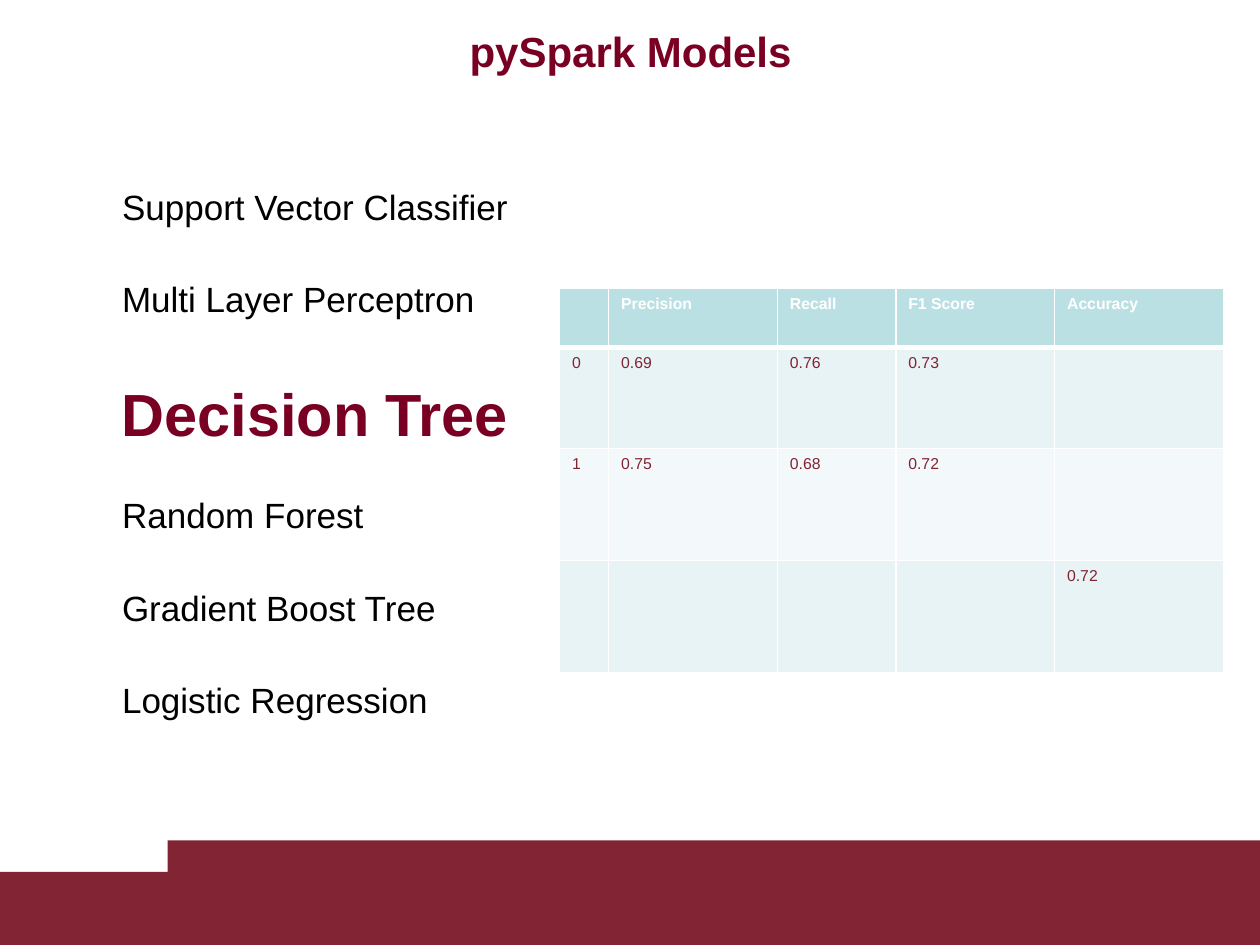
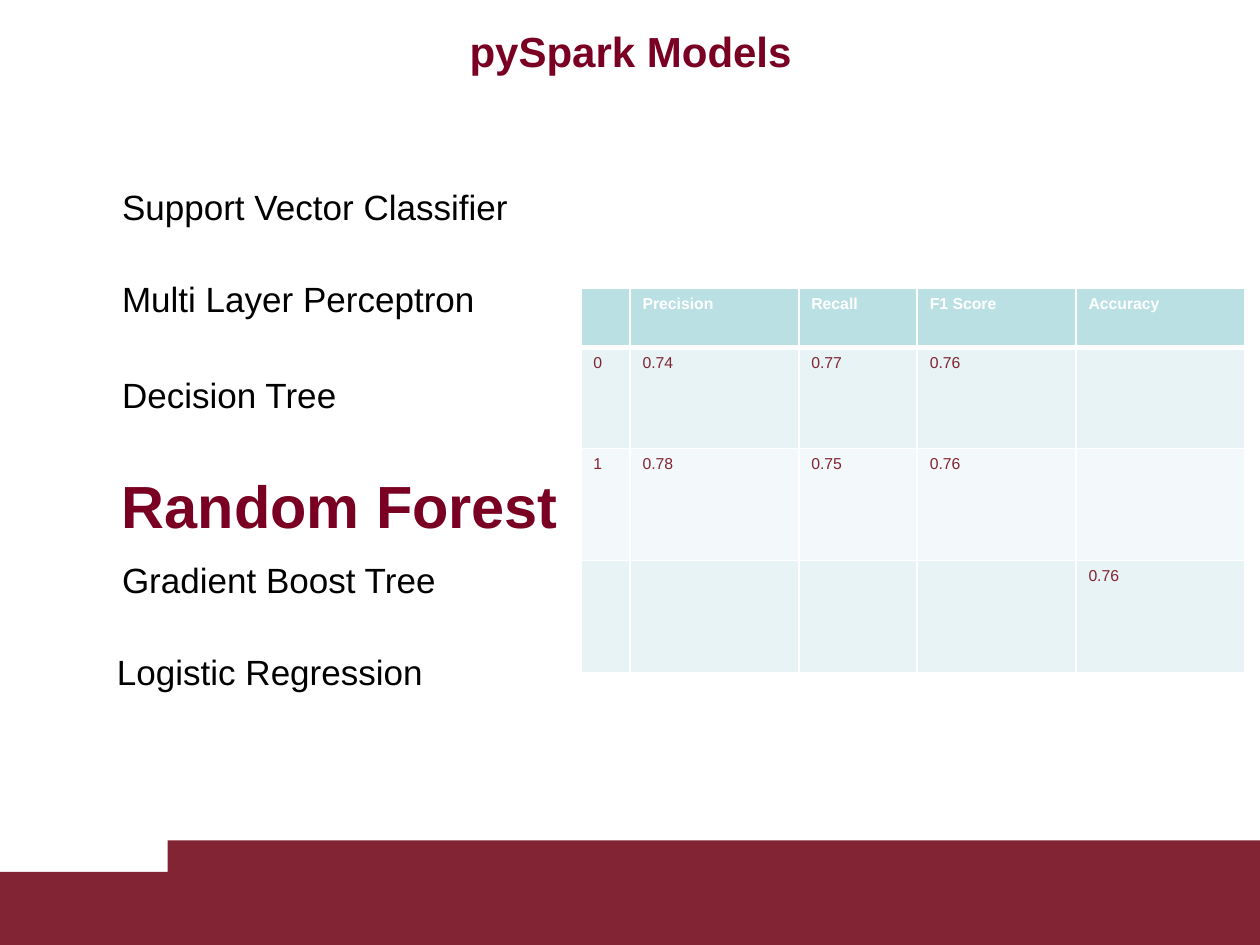
from lxml import etree
from pptx import Presentation
from pptx.dml.color import RGBColor
from pptx.enum import shapes, text
from pptx.oxml import ns
from pptx.util import Inches, Pt

FONT = "Arial"
BAND = RGBColor(0x82, 0x24, 0x33)
ACCENT = RGBColor(0x79, 0x00, 0x22)
BLACK = RGBColor(0, 0, 0)
WHITE = RGBColor(0xFF, 0xFF, 0xFF)
HEADER_FILL = RGBColor(0xBB, 0xE0, 0xE3)
ROW_FILLS = [RGBColor(0xE7, 0xF3, 0xF4), RGBColor(0xF3, 0xF9, 0xFA)]

COL_WIDTHS = [0.39, 1.34, 0.94, 1.26, 1.34]
ROW_HEIGHTS = [0.47, 0.8, 0.89, 0.89]
HEADER = ["", "Precision", "Recall", "F1 Score", "Accuracy"]

MODELS = ["Support Vector Classifier", "Multi Layer Perceptron", "Decision Tree",
          "Random Forest", "Gradient Boost Tree", "Logistic Regression"]

# Per slide: highlighted model, (left, top) of each label, table left, scores
SLIDES = [
    dict(chosen="Decision Tree", table_left=4.44,
         places=[(0.87, 1.39), (0.87, 2.12), (0.87, 2.88),
                 (0.87, 3.83), (0.87, 4.57), (0.87, 5.3)],
         scores=[["0", "0.69", "0.76", "0.73", ""],
                 ["1", "0.75", "0.68", "0.72", ""],
                 ["", "", "", "", "0.72"]]),
    dict(chosen="Random Forest", table_left=4.61,
         places=[(0.87, 1.39), (0.87, 2.12), (0.87, 2.88),
                 (0.87, 3.61), (0.87, 4.35), (0.83, 5.08)],
         scores=[["0", "0.74", "0.77", "0.76", ""],
                 ["1", "0.78", "0.75", "0.76", ""],
                 ["", "", "", "", "0.76"]]),
]


def style(p, size, color, bold=False):
    for r in p.runs:
        r.font.name = FONT
        r.font.size = Pt(size)
        r.font.bold = bold
        r.font.color.rgb = color


def add_bands(slide, layout):
    """Draw the stepped footer and hand it to the shared layout."""
    for left, top in [(0, 6.92), (1.33, 6.67)]:
        sp = slide.shapes.add_shape(
            shapes.MSO_SHAPE.RECTANGLE, Inches(left), Inches(top),
            Inches(10 - left), Inches(7.5 - top))
        sp.shadow.inherit = False
        sp.fill.solid()
        sp.fill.fore_color.rgb = BAND
        sp.line.fill.background()
        layout.shapes.element.append(sp.element)


def set_title(slide, title):
    sp = slide.shapes.title
    sp.left, sp.top = Inches(0.87), Inches(0.13)
    sp.width, sp.height = Inches(8.27), Inches(0.55)
    tf = sp.text_frame
    tf.text = title
    tf.vertical_anchor = text.MSO_ANCHOR.MIDDLE
    p = tf.paragraphs[0]
    p.alignment = text.PP_ALIGN.CENTER
    style(p, 24, ACCENT, True)


def add_model(slide, name, left, top, chosen):
    size = 34 if chosen else 20
    sp = slide.shapes.add_textbox(Inches(left), Inches(top),
                                  Inches(3.9 if chosen else 3.58), Inches(0.5))
    tf = sp.text_frame
    tf.word_wrap = True
    tf.margin_top = Pt(3.6 + 0.13 * size)
    tf.text = name
    style(tf.paragraphs[0], size, ACCENT if chosen else BLACK, chosen)


def set_borders(cell, bottom):
    tc_pr = cell._tc.get_or_add_tcPr()
    for side, width in [("L", 1), ("R", 1), ("T", 1), ("B", bottom)]:
        ln = etree.SubElement(tc_pr, ns.qn("a:ln" + side), w=str(Pt(width)))
        fill = etree.SubElement(ln, ns.qn("a:solidFill"))
        etree.SubElement(fill, ns.qn("a:srgbClr"), val=str(WHITE))


def add_scores(slide, left, scores):
    rows = [HEADER] + scores
    table = slide.shapes.add_table(
        len(rows), len(HEADER), Inches(left), Inches(2.29),
        Inches(sum(COL_WIDTHS)), Inches(sum(ROW_HEIGHTS))).table
    for col, width in zip(table.columns, COL_WIDTHS):
        col.width = Inches(width)
    for i, (values, height) in enumerate(zip(rows, ROW_HEIGHTS)):
        table.rows[i].height = Inches(height)
        is_header = i == 0
        for cell, value in zip(table.rows[i].cells, values):
            set_borders(cell, 3 if is_header else 1)
            cell.fill.solid()
            cell.fill.fore_color.rgb = HEADER_FILL if is_header else ROW_FILLS[(i - 1) % 2]
            if value:
                cell.text_frame.text = value
                style(cell.text_frame.paragraphs[0], 9,
                      WHITE if is_header else BAND, is_header)


def main():
    prs = Presentation()
    prs.slide_width, prs.slide_height = Inches(10), Inches(7.5)
    layout = prs.slide_layouts[5]
    for i, data in enumerate(SLIDES):
        slide = prs.slides.add_slide(layout)
        if i == 0:
            add_bands(slide, layout)
        set_title(slide, "pySpark Models")
        for name, (left, top) in zip(MODELS, data["places"]):
            add_model(slide, name, left, top, name == data["chosen"])
        add_scores(slide, data["table_left"], data["scores"])
    prs.save("out.pptx")


if __name__ == "__main__":
    main()
